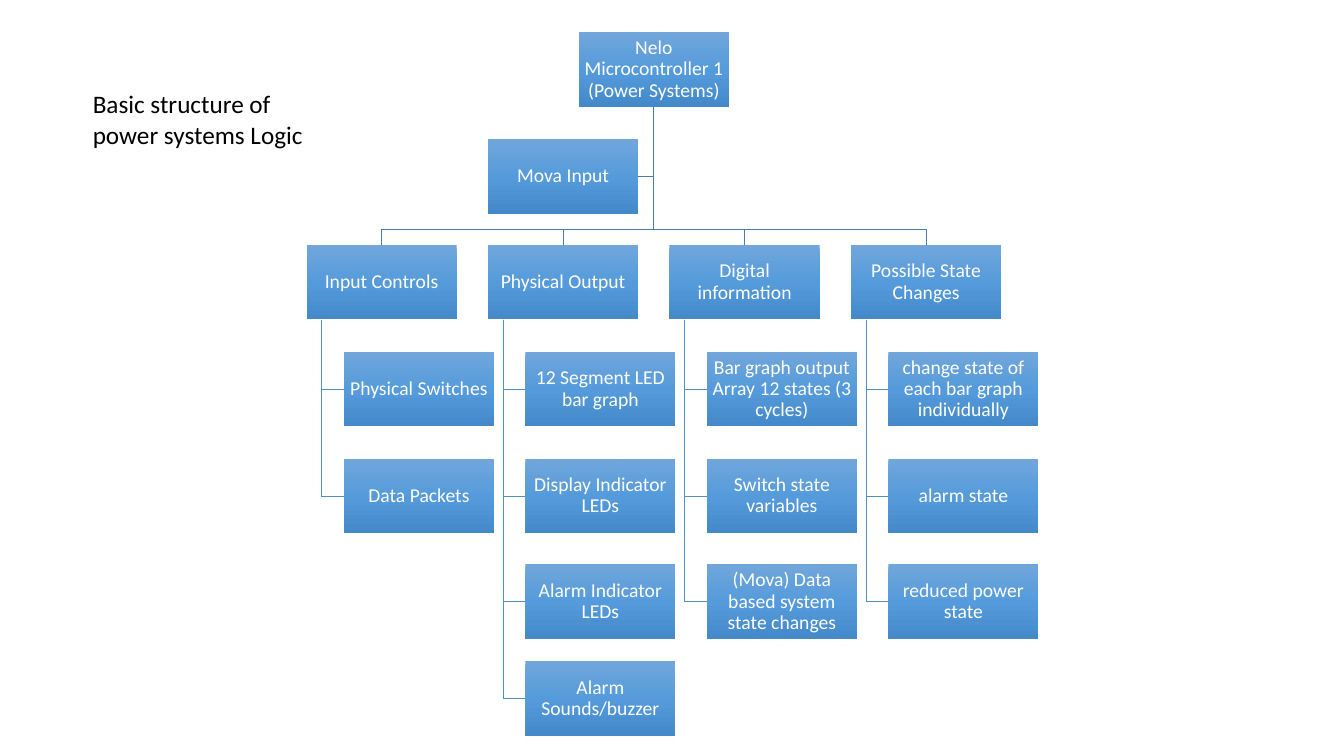
from copy import deepcopy
from dataclasses import dataclass

from pptx import Presentation
from pptx.dml.color import RGBColor
from pptx.enum.shapes import MSO_SHAPE
from pptx.enum.text import MSO_ANCHOR, MSO_AUTO_SIZE, PP_ALIGN
from pptx.oxml.ns import qn
from pptx.slide import Slide
from pptx.util import Inches, Pt

COLORS = {
    "box_top": "71A6DB",
    "box_middle": "559BDB",
    "box_bottom": "448ACA",
    "main_line": "497CAB",
    "item_line": "538DC1",
    "box_text": "FFFFFF",
    "title": "000000",
}
FONT = "Calibri"
BOX_WIDTH, BOX_HEIGHT = 1.49, 0.74
ROOT_LEFT, ROOT_TOP = 5.74, 0.32
INPUT_TOP = 1.38
HEADING_LEFT, HEADING_TOP, COLUMN_STEP = 3.04, 2.43, 1.8
ITEM_TOPS = (3.49, 4.55, 5.6, 6.56)
ITEM_INDENT, STEM_INDENT = 0.37, 0.15
CROSSBAR_Y = 2.28


@dataclass(frozen=True)
class Box:
    text: str
    left: float
    top: float

    @property
    def center_x(self) -> float:
        return self.left + BOX_WIDTH / 2

    @property
    def center_y(self) -> float:
        return self.top + BOX_HEIGHT / 2

    @property
    def bottom(self) -> float:
        return self.top + BOX_HEIGHT


@dataclass(frozen=True)
class Branch:
    heading: str
    items: tuple[str, ...]


BRANCHES = (
    Branch("Input Controls", ("Physical Switches", "Data Packets")),
    Branch("Physical Output", (
        "12 Segment LED bar graph",
        "Display Indicator LEDs",
        "Alarm Indicator LEDs",
        "Alarm Sounds/buzzer",
    )),
    Branch("Digital information", (
        "Bar graph output Array 12 states (3 cycles)",
        "Switch state variables",
        "(Mova) Data based system state changes",
    )),
    Branch("Possible State Changes", (
        "change state of each bar graph individually",
        "alarm state",
        "reduced power state",
    )),
)


def color(name: str) -> RGBColor:
    return RGBColor.from_string(COLORS[name])


def draw_title(slide: Slide, text: str) -> None:
    title = slide.shapes.title
    title.left, title.top = Inches(0.82), Inches(0.83)
    title.width, title.height = Inches(2.61), Inches(0.71)
    frame = title.text_frame
    frame.text = text
    frame.word_wrap = True
    frame.auto_size = MSO_AUTO_SIZE.NONE
    frame.vertical_anchor = MSO_ANCHOR.TOP
    paragraph = frame.paragraphs[0]
    paragraph.alignment = PP_ALIGN.LEFT
    paragraph.font.name = FONT
    paragraph.font.size = Pt(18)
    paragraph.font.color.rgb = color("title")


def draw_line(slide: Slide, points: list[tuple[float, float]], color_name: str) -> None:
    corners = [(Inches(x), Inches(y)) for x, y in points]
    builder = slide.shapes.build_freeform(*corners[0])
    builder.add_line_segments(corners[1:], close=False)
    line = builder.convert_to_shape()
    line.shadow.inherit = False
    line.fill.background()
    line.line.color.rgb = color(color_name)
    line.line.width = Pt(0.5)


def draw_box(slide: Slide, box: Box) -> None:
    shape = slide.shapes.add_shape(
        MSO_SHAPE.RECTANGLE, Inches(box.left), Inches(box.top),
        Inches(BOX_WIDTH), Inches(BOX_HEIGHT))
    shape.shadow.inherit = False
    shape.line.fill.background()
    shape.fill.gradient()
    shape.fill.gradient_angle = 270
    stop_list = shape._element.spPr.find(qn("a:gradFill")).find(qn("a:gsLst"))
    stop_list.insert(1, deepcopy(stop_list[0]))
    stop_names = ("box_top", "box_middle", "box_bottom")
    for index, (stop, name) in enumerate(zip(shape.fill.gradient_stops, stop_names)):
        stop.position = index / 2
        stop.color.rgb = color(name)

    frame = shape.text_frame
    frame.text = box.text
    frame.word_wrap = True
    frame.vertical_anchor = MSO_ANCHOR.MIDDLE
    frame.margin_left = frame.margin_right = Inches(0.01)
    frame.margin_top = frame.margin_bottom = Inches(0.01)
    paragraph = frame.paragraphs[0]
    paragraph.alignment = PP_ALIGN.CENTER
    paragraph.line_spacing = 0.9
    paragraph.font.name = FONT
    paragraph.font.size = Pt(14)
    paragraph.font.color.rgb = color("box_text")


def draw_branch(slide: Slide, branch: Branch, left: float, root: Box) -> None:
    heading = Box(branch.heading, left, HEADING_TOP)
    items = [Box(text, left + ITEM_INDENT, top)
             for text, top in zip(branch.items, ITEM_TOPS)]
    draw_line(slide, [
        (root.center_x, root.bottom),
        (root.center_x, CROSSBAR_Y),
        (heading.center_x, CROSSBAR_Y),
        (heading.center_x, heading.top),
    ], "main_line")
    stem_x = left + STEM_INDENT
    for item in items:
        draw_line(slide, [
            (stem_x, heading.bottom),
            (stem_x, item.center_y),
            (item.left, item.center_y),
        ], "item_line")
    for box in (heading, *items):
        draw_box(slide, box)


def main() -> None:
    presentation = Presentation()
    presentation.slide_width = Inches(13.33)
    presentation.slide_height = Inches(7.5)
    slide = presentation.slides.add_slide(presentation.slide_layouts[5])
    draw_title(slide, "Basic structure of power systems Logic")

    root = Box("Nelo Microcontroller 1 (Power Systems)", ROOT_LEFT, ROOT_TOP)
    board_input = Box("Mova Input", HEADING_LEFT + COLUMN_STEP, INPUT_TOP)
    draw_line(slide, [
        (root.center_x, root.bottom),
        (root.center_x, board_input.center_y),
        (board_input.left + BOX_WIDTH, board_input.center_y),
    ], "main_line")
    for column, branch in enumerate(BRANCHES):
        draw_branch(slide, branch, HEADING_LEFT + column * COLUMN_STEP, root)
    draw_box(slide, root)
    draw_box(slide, board_input)

    presentation.save("out.pptx")


if __name__ == "__main__":
    main()
